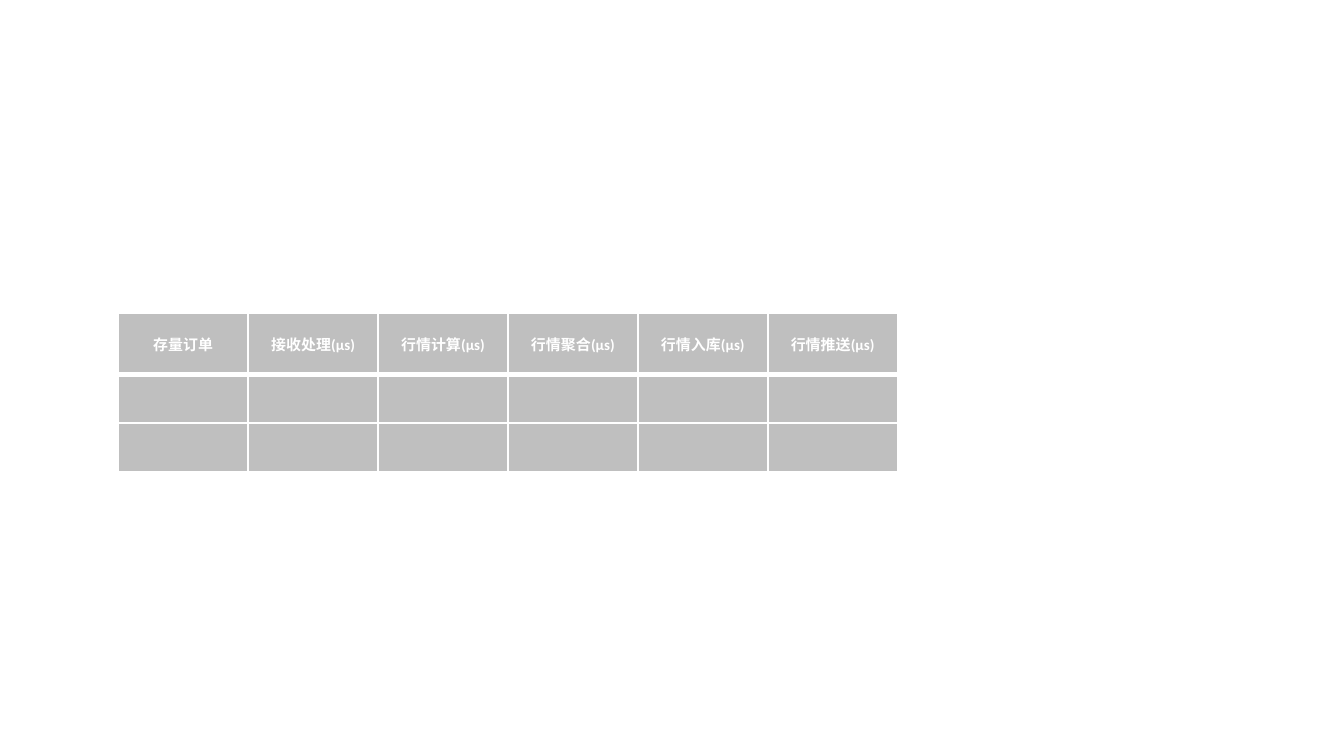
from lxml import etree
from pptx import Presentation
from pptx.dml.color import RGBColor
from pptx.enum.text import MSO_ANCHOR, PP_ALIGN
from pptx.oxml.ns import qn
from pptx.util import Inches, Pt

MIDDLE = MSO_ANCHOR.MIDDLE
CENTER = PP_ALIGN.CENTER
COLORS = {"cell": "BFBFBF", "white": "FFFFFF"}
FONT = "Calibri"
HEADERS = ["存量订单"] + [
    f"{stage}(μs)" for stage in ("接收处理", "行情计算", "行情聚合", "行情入库", "行情推送")
]
ROW_HEIGHTS = [0.46, 0.36, 0.36]


def set_borders(cell, widths):
    """Draw white cell borders, with widths in points keyed by side."""
    tcPr = cell._tc.get_or_add_tcPr()
    for side, width in widths.items():
        ln = etree.SubElement(tcPr, qn(f"a:ln{side}"), w=str(int(Pt(width))))
        fill = etree.SubElement(ln, qn("a:solidFill"))
        etree.SubElement(fill, qn("a:srgbClr"), val=COLORS["white"])


def style_cell(cell, row):
    """Fill, border and align one cell according to its row."""
    set_borders(cell, {"L": 1, "R": 1, "T": 3 if row == 1 else 1, "B": 3 if row == 0 else 1})
    cell.fill.solid()
    cell.fill.fore_color.rgb = RGBColor.from_string(COLORS["cell"])
    cell.vertical_anchor = MIDDLE
    cell.margin_left = cell.margin_right = Inches(0.05)
    cell.margin_top = cell.margin_bottom = 0


def set_header(cell, text):
    """Write a centred bold header."""
    p = cell.text_frame.paragraphs[0]
    p.text = text
    p.alignment = CENTER
    for r in p.runs:
        r.font.name = FONT
        r.font.size = Pt(8)
        r.font.bold = True
        r.font.color.rgb = RGBColor.from_string(COLORS["white"])


def add_latency_table(s, left, top, width):
    """Place the latency table with equal columns in the given width."""
    height = sum(ROW_HEIGHTS)
    table = s.shapes.add_table(
        len(ROW_HEIGHTS), len(HEADERS),
        Inches(left), Inches(top), Inches(width), Inches(height),
    ).table
    for col in table.columns:
        col.width = Inches(width / len(HEADERS))
    for row, row_height in enumerate(ROW_HEIGHTS):
        table.rows[row].height = Inches(row_height)
        for cell in table.rows[row].cells:
            style_cell(cell, row)
    for cell, text in zip(table.rows[0].cells, HEADERS):
        set_header(cell, text)


prs = Presentation()
prs.slide_width, prs.slide_height = Inches(10), Inches(10 * 9 / 16)
s = prs.slides.add_slide(prs.slide_layouts[6])
add_latency_table(s, 0.88, 2.33, 5.8)
prs.save("out.pptx")
